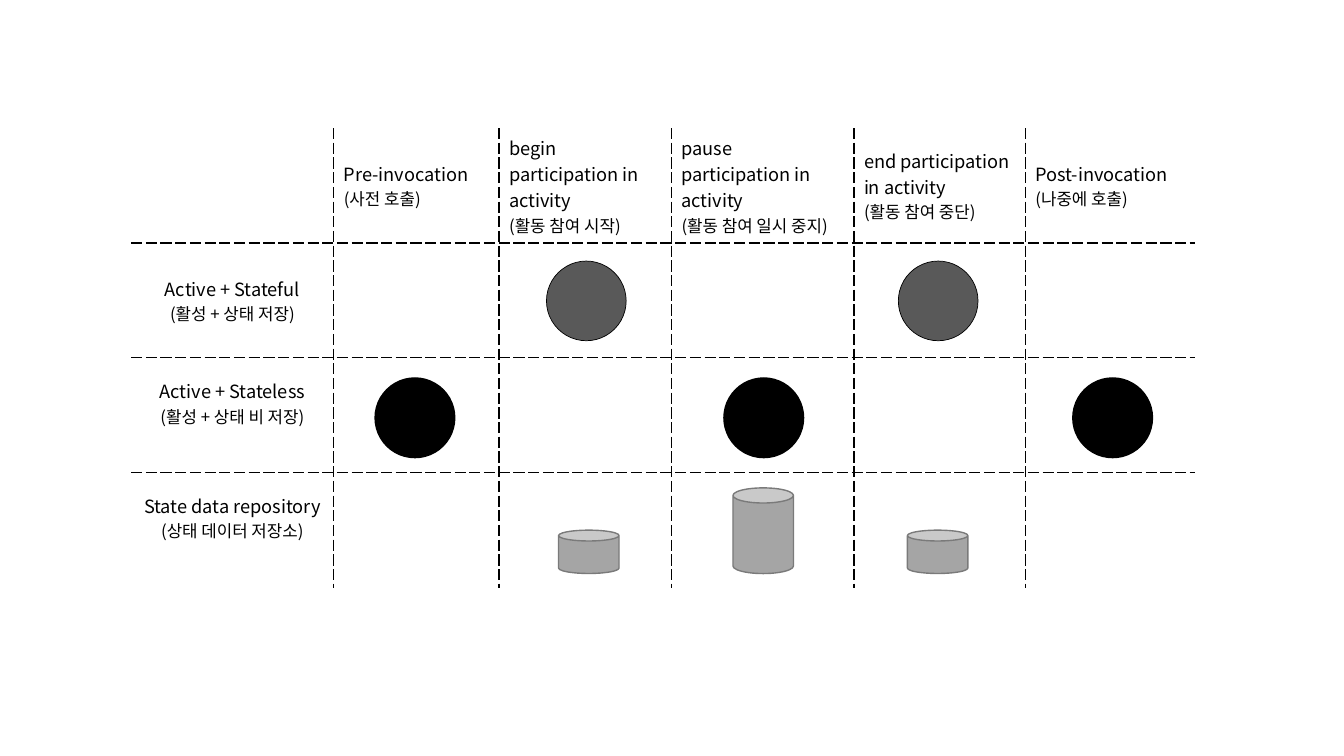
"""Build a slide with a table of component states across an activity's phases."""
from lxml import etree
from pptx import Presentation
from pptx import util as u
from pptx.dml import color
from pptx.enum import shapes, text
from pptx.oxml import ns

FONT = "Noto Sans CJK KR"
TABLE_LEFT, TABLE_TOP = 1.3, 1.27
COLUMN_WIDTHS = [2.01, 1.64, 1.71, 1.81, 1.7, 1.68]
ROW_HEIGHT = 1.14
BORDER = {"w": "12700", "color": "000000", "dash": "sysDash"}

PHASES = [
    ("Pre-invocation", "(사전 호출)"),
    ("begin participation in activity", "(활동 참여 시작)"),
    ("pause participation in activity", "(활동 참여 일시 중지)"),
    ("end participation in activity", "(활동 참여 중단)"),
    ("Post-invocation", "(나중에 호출)"),
]
STATES = [
    ("Active + Stateful", "(활성 + 상태 저장)", 0.05),
    ("Active + Stateless", "(활성 + 상태 비 저장)", 0.3),
    ("State data repository", "(상태 데이터 저장소)", 0.3),
]

CIRCLE = 0.79
CAN_WIDTH, CAN_BOTTOM = 0.6, 5.69
STATELESS = {"kind": "OVAL", "fill": "000000", "line": "000000", "weight": 1}
STATEFUL = {"kind": "OVAL", "fill": "595959", "line": "000000", "weight": 0.5}
REPOSITORY = {"kind": "CAN", "fill": "A5A5A5", "line": "7A7A7A", "weight": 1}
CAN_HEIGHTS = [0.43, 0.85, 0.43]
MARKERS = (
    [(REPOSITORY, 5.54 + 1.73 * i, CAN_BOTTOM - height, CAN_WIDTH, height)
     for i, height in enumerate(CAN_HEIGHTS)]
    + [(STATELESS, 3.72 + 3.46 * i, 3.75, CIRCLE, CIRCLE) for i in range(3)]
    + [(STATEFUL, 5.42 + 3.49 * i, 2.59, CIRCLE, CIRCLE) for i in range(2)]
)


def rgb(value):
    return color.RGBColor.from_string(value)


def set_borders(cell, sides):
    properties = cell._tc.get_or_add_tcPr()
    for side, visible in sides.items():
        line = etree.SubElement(properties, ns.qn(f"a:ln{side}"), w=BORDER["w"])
        if visible:
            fill = etree.SubElement(line, ns.qn("a:solidFill"))
            etree.SubElement(fill, ns.qn("a:srgbClr"), val=BORDER["color"])
            etree.SubElement(line, ns.qn("a:prstDash"), val=BORDER["dash"])
        else:
            etree.SubElement(line, ns.qn("a:noFill"))


def write_label(cell, lines, alignment, margin_bottom=0.05):
    cell.vertical_anchor = text.MSO_ANCHOR.MIDDLE
    cell.margin_bottom = u.Inches(margin_bottom)
    frame = cell.text_frame
    frame.text = "\n".join(lines)
    for paragraph, size in zip(frame.paragraphs, (13, 12)):
        paragraph.alignment = alignment
        run = paragraph.runs[0]
        for name, value in {"name": FONT, "size": u.Pt(size), "bold": False}.items():
            setattr(run.font, name, value)
        run.font.color.rgb = rgb("000000")
        etree.SubElement(run._r.get_or_add_rPr(), ns.qn("a:ea"), typeface=FONT)


def add_state_table(slide):
    row_count, column_count = len(STATES) + 1, len(COLUMN_WIDTHS)
    box = (TABLE_LEFT, TABLE_TOP, sum(COLUMN_WIDTHS), ROW_HEIGHT * row_count)
    table = slide.shapes.add_table(row_count, column_count, *map(u.Inches, box)).table
    table.first_row = table.horz_banding = False
    for column, width in zip(table.columns, COLUMN_WIDTHS):
        column.width = u.Inches(width)
    for r, row in enumerate(table.rows):
        row.height = u.Inches(ROW_HEIGHT)
        for c, cell in enumerate(row.cells):
            set_borders(cell, {"L": c > 0, "R": c < column_count - 1,
                               "T": r > 0, "B": r < row_count - 1})
            cell.fill.background()
    for c, lines in enumerate(PHASES, 1):
        write_label(table.cell(0, c), lines, text.PP_ALIGN.LEFT)
    for r, (*lines, margin) in enumerate(STATES, 1):
        write_label(table.cell(r, 0), lines, text.PP_ALIGN.CENTER, margin)


def add_marker(slide, style, *box):
    kind = getattr(shapes.MSO_SHAPE, style["kind"])
    shape = slide.shapes.add_shape(kind, *map(u.Inches, box))
    shape.shadow.inherit = False
    shape.fill.solid()
    shape.fill.fore_color.rgb = rgb(style["fill"])
    shape.line.color.rgb = rgb(style["line"])
    shape.line.width = u.Pt(style["weight"])


def main():
    presentation = Presentation()
    presentation.slide_width = u.Inches(13.33)
    presentation.slide_height = u.Inches(7.5)
    slide = presentation.slides.add_slide(presentation.slide_layouts[6])
    add_state_table(slide)
    for marker in MARKERS:
        add_marker(slide, *marker)
    presentation.save("out.pptx")


if __name__ == "__main__":
    main()
